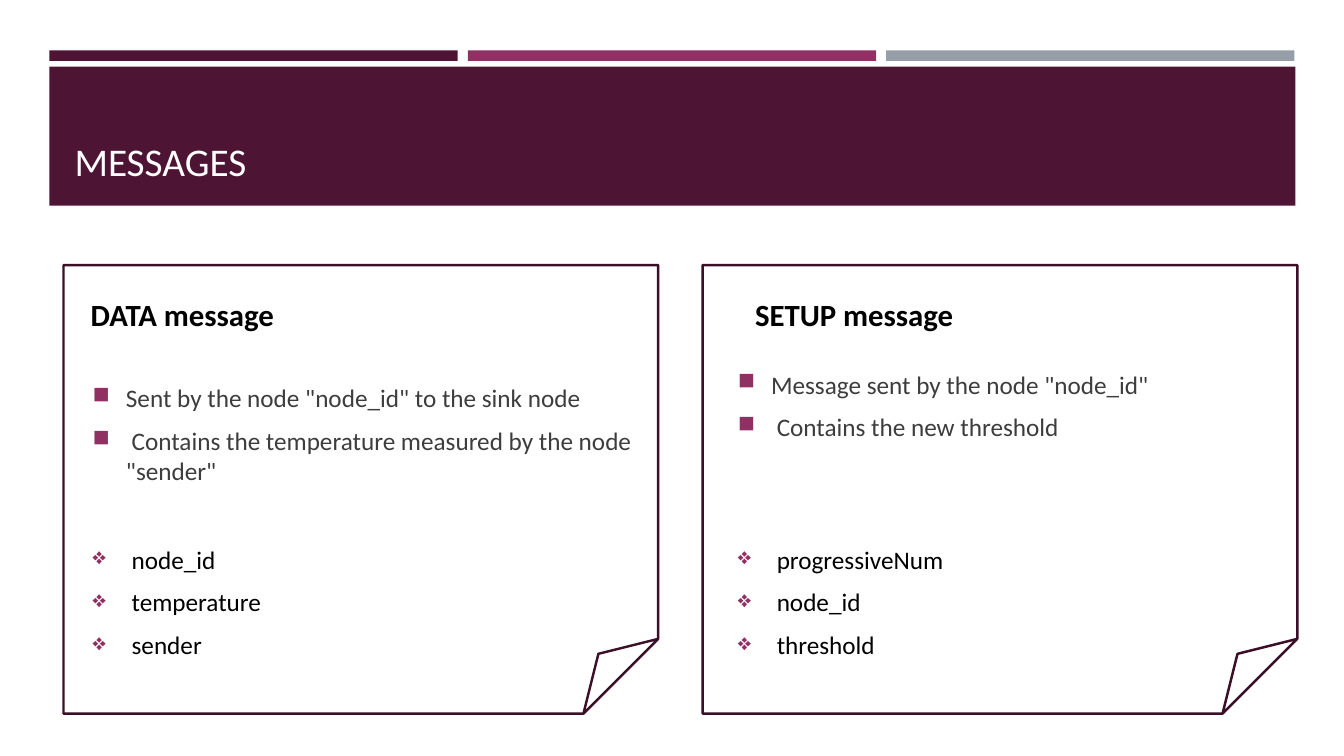
from lxml.etree import SubElement
from pptx import Presentation
from pptx.dml.color import RGBColor
from pptx.enum.shapes import MSO_SHAPE
from pptx.enum.text import MSO_ANCHOR
from pptx.oxml.ns import qn
from pptx.util import Inches, Pt

WIDTH, HEIGHT = Inches(13.33), Inches(7.5)
FONT = "Calibri"
COLOURS = {
    "plum": "4D1434",
    "magenta": "903163",
    "grey": "969FA7",
    "outline": "3A0F27",
    "body": "3D3D3D",
    "black": "000000",
    "white": "FFFFFF",
}
SQUARE, DIAMONDS = "\u25a0", "\u2756"
MARGIN, BAR_WIDTH, BAR_STEP = 3.68, 30.38, 31.13
CARD_TOP, CARD_WIDTH, CARD_HEIGHT = 35.07, 44.25, 59.33
HEADING_TOP, FIELDS_TOP, TEXT_WIDTH = 39.1, 71.95, 42.75

CARDS = [
    {
        "left": 4.73, "heading_left": 6.75, "list_left": 6.9, "list_top": 50.6,
        "heading": "DATA message",
        "facts": ['Sent by the node "node_id" to the sink node',
                  '\u00a0Contains the temperature measured by the node "sender"'],
        "fields": [" node_id", " temperature", " sender"],
    },
    {
        "left": 52.28, "heading_left": 56.18, "list_left": 54.9, "list_top": 48.8,
        "heading": "SETUP message",
        "facts": ['Message sent by the node "node_id"',
                  "\u00a0Contains the new threshold"],
        "fields": [" progressiveNum", " node_id", " threshold"],
    },
]


def colour(name):
    """Look up a named colour."""
    return RGBColor.from_string(COLOURS[name])


def area(left, top, width, height):
    """Turn percentages of the slide into lengths."""
    return (int(WIDTH * left / 100), int(HEIGHT * top / 100),
            int(WIDTH * width / 100), int(HEIGHT * height / 100))


def add_block(page, place, fill):
    """Add a plain filled rectangle."""
    block = page.shapes.add_shape(MSO_SHAPE.RECTANGLE, *area(*place))
    block.shadow.inherit = False
    block.fill.solid()
    block.fill.fore_color.rgb = colour(fill)
    block.line.fill.background()


def add_note_frame(page, left):
    """Add the outlined sheet with a folded corner."""
    place = area(left, CARD_TOP, CARD_WIDTH, CARD_HEIGHT)
    frame = page.shapes.add_shape(MSO_SHAPE.FOLDED_CORNER, *place)
    frame.shadow.inherit = False
    frame.fill.background()
    frame.line.color.rgb = colour("outline")
    frame.line.width = Pt(1.75)


def add_bullet(para, mark):
    """Give a paragraph a hanging coloured bullet."""
    properties = para._p.get_or_add_pPr()
    properties.set("marL", str(Inches(0.33)))
    properties.set("indent", str(-Inches(0.33)))
    tint = SubElement(properties, qn("a:buClr"))
    SubElement(tint, qn("a:srgbClr"), val=COLOURS["magenta"])
    SubElement(properties, qn("a:buSzPct"), val="92000")
    SubElement(properties, qn("a:buChar"), char=mark)


def add_text(page, place, lines, size, ink, bold=False, mark=None,
             anchor=MSO_ANCHOR.TOP):
    """Add a text box with one paragraph per line."""
    frame = page.shapes.add_textbox(*area(*place)).text_frame
    frame.word_wrap = True
    frame.vertical_anchor = anchor
    frame.margin_left = frame.margin_right = 0
    frame.margin_top = frame.margin_bottom = 0
    for number, line in enumerate(lines):
        para = frame.add_paragraph() if number else frame.paragraphs[0]
        para.space_after = Pt(9 if mark else 0)
        if mark:
            add_bullet(para, mark)
        span = para.add_run()
        span.text = line
        span.font.name = FONT
        span.font.size = Pt(size)
        span.font.bold = bold
        span.font.color.rgb = colour(ink)


def add_header(page):
    """Add the three bars and the title band."""
    for number, fill in enumerate(("plum", "magenta", "grey")):
        add_block(page, (MARGIN + number * BAR_STEP, 6.67, BAR_WIDTH, 1.4), fill)
    add_block(page, (MARGIN, 8.8, 92.7, 18.4), "plum")
    add_text(page, (5.55, 11, 89, 13.4), ["MESSAGES"], 28, "white",
             anchor=MSO_ANCHOR.BOTTOM)


def add_card(page, card):
    """Add one message type: heading, facts and fields in a frame."""
    left = card["list_left"]
    add_text(page, (card["heading_left"], HEADING_TOP, 38, 5),
             [card["heading"]], 22, "black", bold=True)
    add_text(page, (left, card["list_top"], TEXT_WIDTH, 18),
             card["facts"], 18, "body", mark=SQUARE)
    add_text(page, (left, FIELDS_TOP, TEXT_WIDTH, 18),
             card["fields"], 18, "black", mark=DIAMONDS)
    add_note_frame(page, card["left"])


def main():
    """Build and save the deck."""
    deck = Presentation()
    deck.slide_width, deck.slide_height = WIDTH, HEIGHT
    page = deck.slides.add_slide(deck.slide_layouts[6])
    add_header(page)
    for card in CARDS:
        add_card(page, card)
    deck.save("out.pptx")


main()
